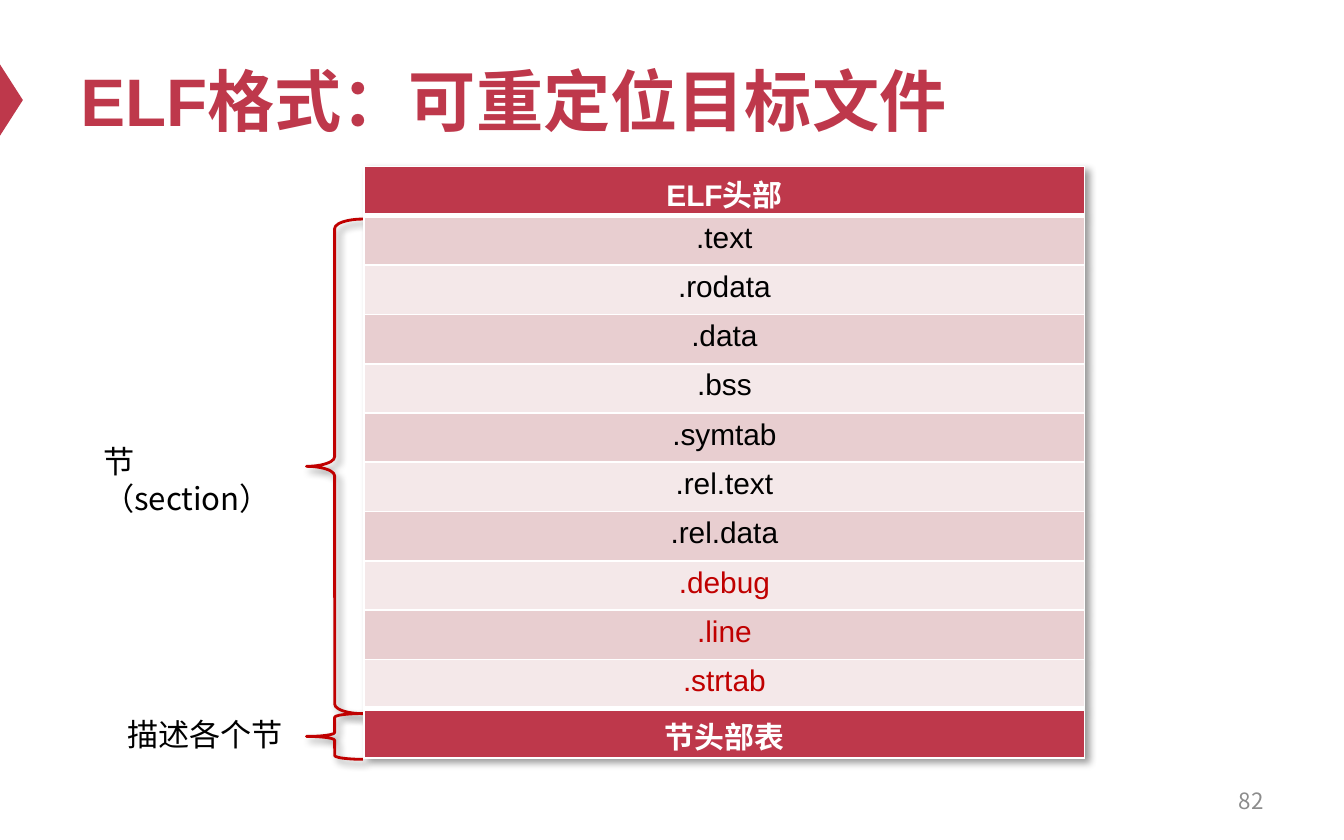
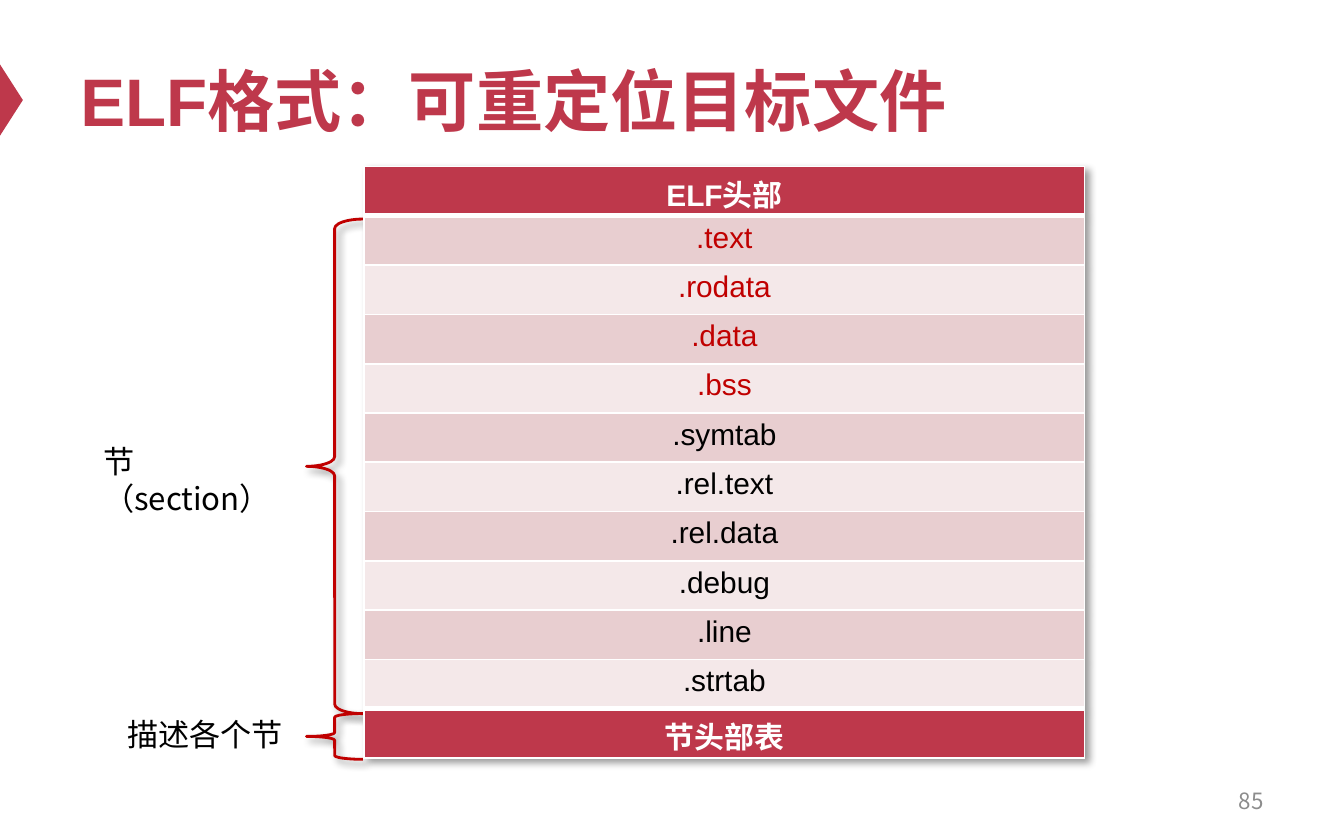
from lxml import etree
from pptx import Presentation
from pptx.dml.color import RGBColor
from pptx.enum.shapes import MSO_SHAPE
from pptx.enum.text import MSO_ANCHOR, PP_ALIGN
from pptx.oxml import parse_xml
from pptx.oxml.ns import nsdecls, qn
from pptx.util import Pt

PX = 9144  # 100 px to the inch
LEFT, CENTER, RIGHT = PP_ALIGN.LEFT, PP_ALIGN.CENTER, PP_ALIGN.RIGHT
TOP, MIDDLE = MSO_ANCHOR.TOP, MSO_ANCHOR.MIDDLE
TRIANGLE, LEFT_BRACE = MSO_SHAPE.ISOSCELES_TRIANGLE, MSO_SHAPE.LEFT_BRACE

LATIN, CHINESE = "Arial", "Noto Sans CJK SC"
CRIMSON, RED, BLACK, WHITE, GRAY = "BE384B", "C00000", "000000", "FFFFFF", "8C8C8C"
BANDS = ["F4E8E9", "E8CED0"]

TITLE = "ELF格式：可重定位目标文件"
SECTIONS = [".text", ".rodata", ".data", ".bss", ".symtab",
            ".rel.text", ".rel.data", ".debug", ".line", ".strtab"]
ROWS = ["ELF头部", *SECTIONS, "节头部表"]
LAST = len(ROWS) - 1
PAGES = [
    ("82", [".debug", ".line", ".strtab"]),
    ("85", [".text", ".rodata", ".data", ".bss"]),
]
# left, top, width, height, curve
BRACES = [(228, 163, 42, 368, 0.169), (228, 531, 42, 34, 0.083)]
TABLE = (271, 124, 536, 440)
SHADOW = (
    f'<a:outerShdw {nsdecls("a")} blurRad="{Pt(4)}" dist="{Pt(3)}" dir="2700000" '
    'algn="tl" rotWithShape="0"><a:srgbClr val="000000"><a:alpha val="40000"/>'
    "</a:srgbClr></a:outerShdw>"
)


def color(value):
    return RGBColor.from_string(value)


def write(frame, text, size, font, ink, align, bold=False):
    frame.text = text
    para = frame.paragraphs[0]
    para.alignment = align
    for span in para.runs:
        span.font.size = Pt(size)
        span.font.name = font
        span.font.bold = bold
        span.font.color.rgb = color(ink)
        east_asian = etree.Element(qn("a:ea"), typeface=CHINESE)
        span.font._element.find(qn("a:latin")).addnext(east_asian)


deck = Presentation()
deck.slide_width, deck.slide_height = 1000 * PX, 625 * PX

for number, highlighted in PAGES:
    page = deck.slides.add_slide(deck.slide_layouts[6])

    marker = page.shapes.add_shape(TRIANGLE, -18 * PX, 66 * PX, 53 * PX, 17 * PX)
    marker.rotation = 90
    marker.shadow.inherit = False
    marker.fill.solid()
    marker.fill.fore_color.rgb = color(CRIMSON)
    marker.line.fill.background()

    labels = [
        ((50, 25, 900, 98), MIDDLE, (TITLE, 36, LATIN, CRIMSON, LEFT, True)),
        ((717, 579, 233, 33), MIDDLE, (number, 12, CHINESE, GRAY, RIGHT)),
        ((67, 324, 160, 38), TOP, ("节（section）", 16.7, CHINESE, BLACK, LEFT)),
        ((83, 527, 139, 38), TOP, ("描述各个节", 16.7, CHINESE, BLACK, CENTER)),
    ]
    for place, anchor, content in labels:
        box = page.shapes.add_textbox(*(length * PX for length in place))
        box.text_frame.word_wrap = True
        box.text_frame.vertical_anchor = anchor
        write(box.text_frame, *content)

    for *place, curve in BRACES:
        brace = page.shapes.add_shape(LEFT_BRACE, *(length * PX for length in place))
        brace.adjustments[0] = curve
        brace.fill.background()
        brace.line.color.rgb = color(RED)
        brace.line.width = Pt(1.5)
        brace.shadow.inherit = False
        brace._element.spPr.find(qn("a:effectLst")).append(parse_xml(SHADOW))

    table = page.shapes.add_table(
        len(ROWS), 1, *(length * PX for length in TABLE)).table
    effects = etree.Element(qn("a:effectLst"))
    effects.append(parse_xml(SHADOW))
    table._tbl.tblPr.insert(0, effects)

    for index, name in enumerate(ROWS):
        table.rows[index].height = TABLE[3] * PX // len(ROWS)
        cell = table.cell(index, 0)
        cell.margin_top, cell.margin_bottom = 4 * PX, 0
        is_header = index in (0, LAST)

        # Thick rules separate the two headers from the sections
        top_width = 3 if index in (1, LAST) else 1
        bottom_width = 3 if index in (0, LAST - 1) else 1
        borders = [("L", 1), ("R", 1), ("T", top_width), ("B", bottom_width)]
        for side, width in borders:
            cell._tc.get_or_add_tcPr().append(parse_xml(
                f'<a:ln{side} {nsdecls("a")} w="{Pt(width)}"><a:solidFill>'
                f'<a:srgbClr val="{WHITE}"/></a:solidFill></a:ln{side}>'))

        cell.fill.solid()
        cell.fill.fore_color.rgb = color(CRIMSON if is_header else BANDS[index % 2])
        ink = WHITE if is_header else RED if name in highlighted else BLACK
        write(cell.text_frame, name, 16, LATIN, ink, CENTER, is_header)

deck.save("out.pptx")
